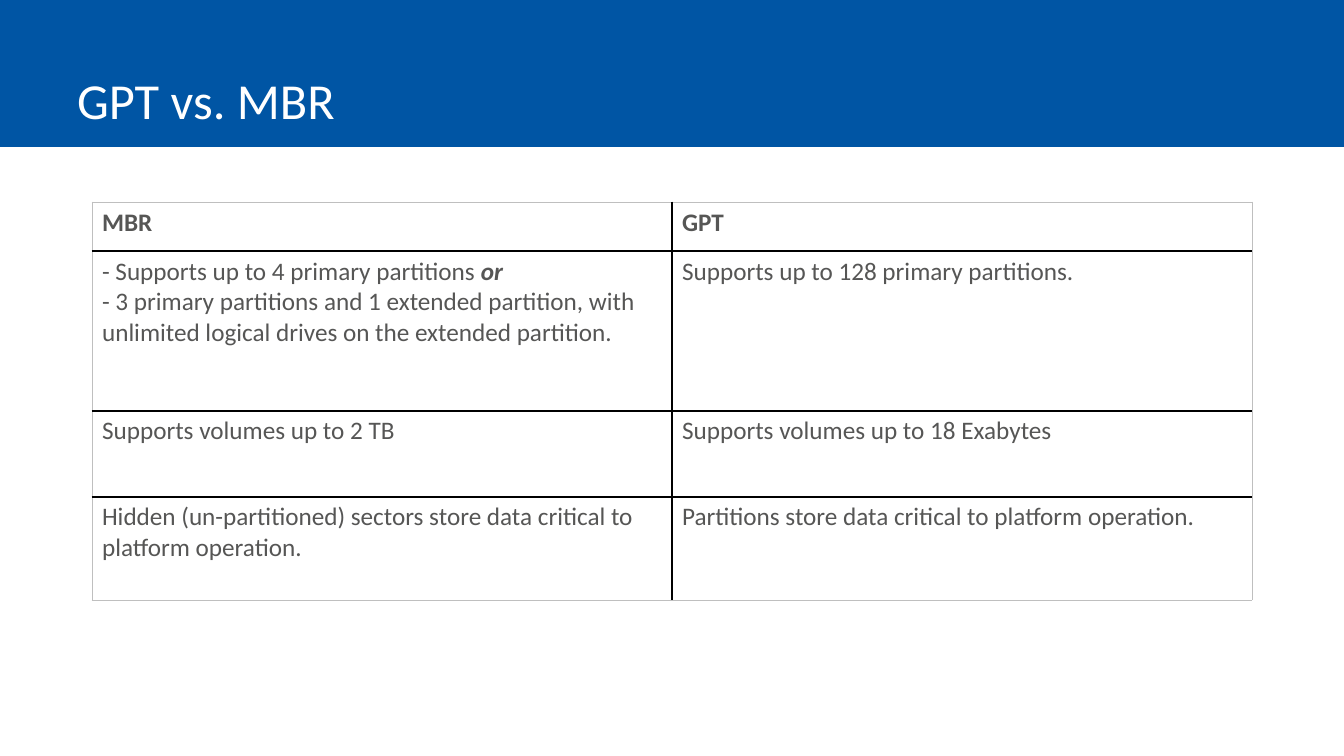
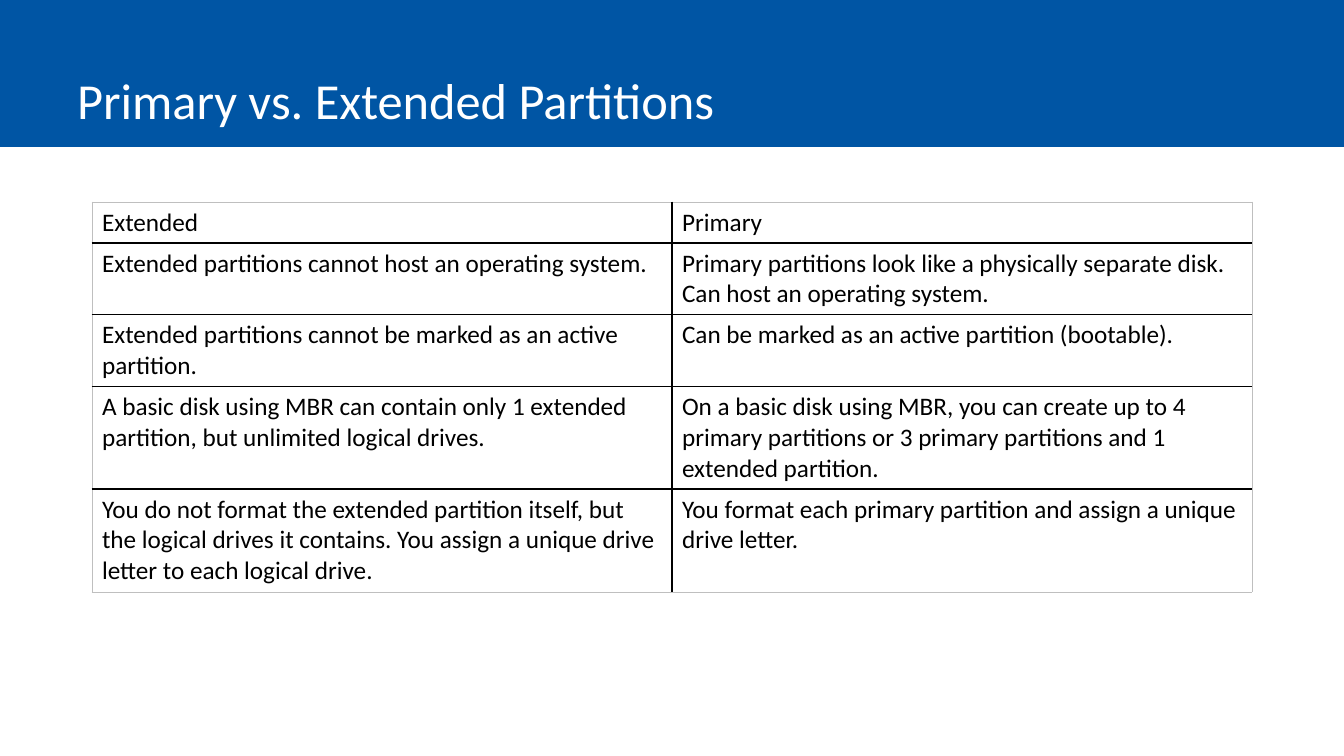
from lxml.etree import SubElement
from pptx import Presentation
from pptx.dml.color import RGBColor
from pptx.enum.shapes import MSO_SHAPE
from pptx.enum.text import MSO_ANCHOR, MSO_AUTO_SIZE, PP_ALIGN
from pptx.oxml.ns import qn
from pptx.util import Pt

EMU_PER_PX = 914400 / 100.8
PAGE_SIZE = (1344, 756)
BAND_BOX = (0, 0, 1344, 147)
TITLE_BOX = (67, 0, 1184, 135)
TABLE_LEFT, TABLE_TOP, TABLE_WIDTH = 92, 202, 1160

BLUE = RGBColor(0x00, 0x55, 0xA4)
WHITE = RGBColor(0xFF, 0xFF, 0xFF)
BLACK = RGBColor(0x00, 0x00, 0x00)
DARK_GREY = RGBColor(0x56, 0x56, 0x55)
LIGHT_GREY = RGBColor(0xBF, 0xBF, 0xBF)
FONT = "Calibri"

OUTER_LINE = (LIGHT_GREY, 0.5)
THIN_LINE = (BLACK, 1)
THICK_LINE = (BLACK, 1.5)

SCHEMES = [
    ("MBR", "GPT"),
    (
        [
            ("- Supports up to 4 primary partitions ", {}),
            ("or", {"bold": True, "italic": True}),
            ("\n- 3 primary partitions and 1 extended partition, with "
             "unlimited logical drives on the extended partition.", {}),
        ],
        "Supports up to 128 primary partitions.",
    ),
    ("Supports volumes up to 2 TB", "Supports volumes up to 18 Exabytes"),
    (
        "Hidden (un-partitioned) sectors store data critical to platform operation.",
        "Partitions store data critical to platform operation.",
    ),
]

PARTITIONS = [
    ("Extended", "Primary"),
    (
        "Extended partitions cannot host an operating system.",
        "Primary partitions look like a physically separate disk. "
        "Can host an operating system.",
    ),
    (
        "Extended partitions cannot be marked as an active partition.",
        "Can be marked as an active partition (bootable).",
    ),
    (
        "A basic disk using MBR can contain only 1 extended partition, "
        "but unlimited logical drives.",
        "On a basic disk using MBR, you can create up to 4 primary partitions "
        "or 3 primary partitions and 1 extended partition.",
    ),
    (
        "You do not format the extended partition itself, but the logical drives "
        "it contains. You assign a unique drive letter to each logical drive.",
        "You format each primary partition and assign a unique drive letter.",
    ),
]


def px(length):
    return round(length * EMU_PER_PX)


def place(shape, box):
    shape.left, shape.top, shape.width, shape.height = map(px, box)


def write(frame, text, size=18, color=BLACK, bold=False, line_spacing=None):
    """Fill the first paragraph with a string or with (text, format) spans."""
    para = frame.paragraphs[0]
    para.alignment = PP_ALIGN.LEFT
    para.line_spacing = line_spacing
    spans = [(text, {})] if isinstance(text, str) else text
    for words, style in spans:
        for index, line in enumerate(words.split("\n")):
            if index:
                para.add_line_break()
            if not line:
                continue
            span = para.add_run()
            span.text = line
            span.font.name = FONT
            span.font.size = Pt(size)
            span.font.color.rgb = color
            span.font.bold = style.get("bold", bold)
            span.font.italic = style.get("italic", False)


def add_band(page, box):
    """Draw the title band and hand it to the layout that the pages share."""
    band = page.shapes.add_shape(MSO_SHAPE.RECTANGLE, *map(px, box))
    band.shadow.inherit = False
    band.fill.solid()
    band.fill.fore_color.rgb = BLUE
    band.line.fill.background()
    page.slide_layout.shapes.element.insert(2, band.element)


def add_title(page, text, box):
    title = page.shapes.title
    place(title, box)
    frame = title.text_frame
    frame.word_wrap = True
    frame.auto_size = MSO_AUTO_SIZE.NONE
    frame.vertical_anchor = MSO_ANCHOR.BOTTOM
    write(frame, text, size=36, color=WHITE, line_spacing=0.9)


def set_borders(cell, **sides):
    """Draw the left, right, top and bottom lines, each a (colour, points) pair."""
    properties = cell._tc.get_or_add_tcPr()
    for side in ("left", "right", "top", "bottom"):
        color, points = sides[side]
        line = SubElement(properties, qn(f"a:ln{side[0].upper()}"), w=str(Pt(points)))
        fill = SubElement(line, qn("a:solidFill"))
        SubElement(fill, qn("a:srgbClr"), val=str(color))


def add_comparison(page, rows, left, top, width, heights,
                   color=BLACK, bold_header=False, header_line=THIN_LINE):
    column_count = len(rows[0])
    table = page.shapes.add_table(
        len(rows), column_count, px(left), px(top), px(width), px(sum(heights))
    ).table
    table.first_row = table.horz_banding = False
    for column in table.columns:
        column.width = px(width / column_count)

    across = [OUTER_LINE, header_line] + [THIN_LINE] * (len(rows) - 2) + [OUTER_LINE]
    down = [OUTER_LINE] + [THICK_LINE] * (column_count - 1) + [OUTER_LINE]
    for r, (texts, height) in enumerate(zip(rows, heights)):
        table.rows[r].height = px(height)
        for c, text in enumerate(texts):
            cell = table.cell(r, c)
            set_borders(cell, left=down[c], right=down[c + 1],
                        top=across[r], bottom=across[r + 1])
            cell.fill.background()
            write(cell.text_frame, text, color=color, bold=bold_header and r == 0)


def add_comparison_page(deck, title, rows, heights, **style):
    page = deck.slides.add_slide(deck.slide_layouts.get_by_name("Title Only"))
    add_title(page, title, TITLE_BOX)
    add_comparison(page, rows, TABLE_LEFT, TABLE_TOP, TABLE_WIDTH, heights, **style)
    return page


def main():
    deck = Presentation()
    deck.slide_width, deck.slide_height = map(px, PAGE_SIZE)
    first_page = add_comparison_page(
        deck, "GPT vs. MBR", SCHEMES, [49, 160, 86, 103],
        color=DARK_GREY, bold_header=True, header_line=THICK_LINE,
    )
    add_band(first_page, BAND_BOX)
    add_comparison_page(
        deck, "Primary vs. Extended Partitions", PARTITIONS, [41, 71, 72, 102, 103]
    )
    deck.save("out.pptx")


if __name__ == "__main__":
    main()
